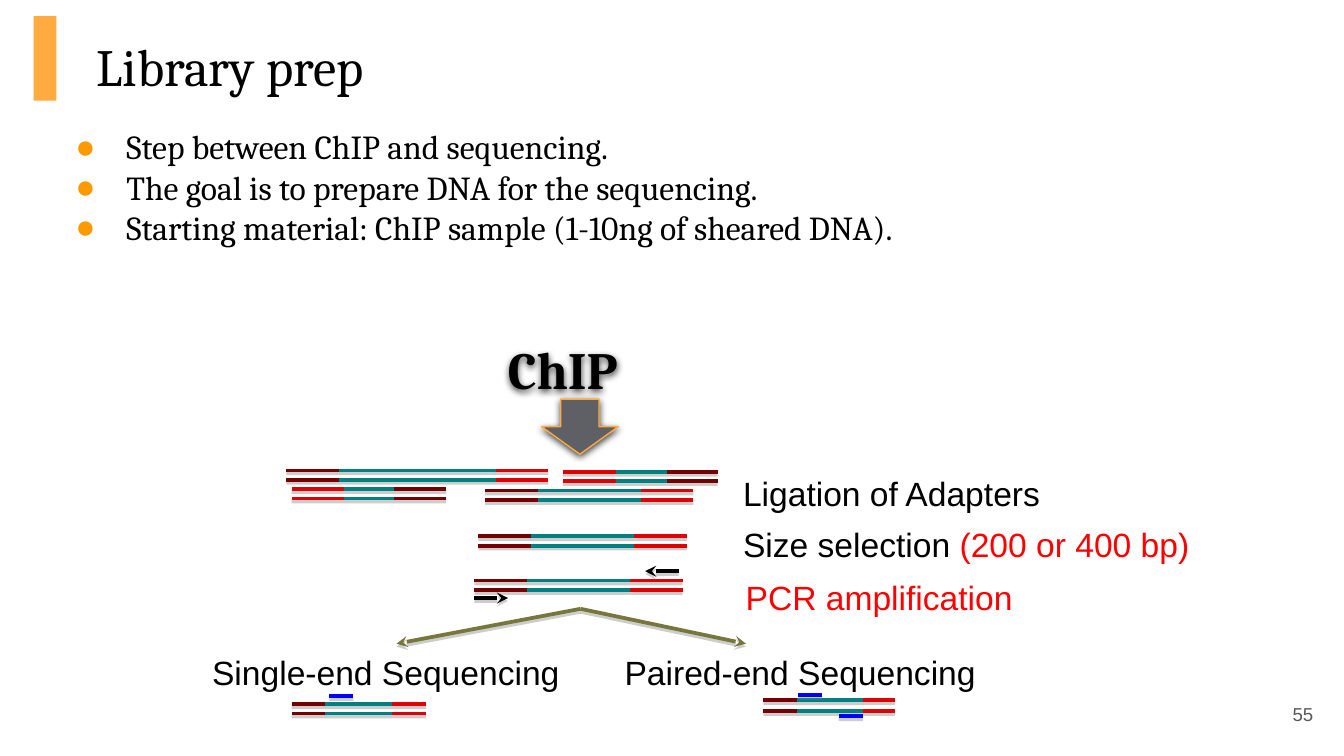
"""Build the library prep slide with its sequencing diagram."""
from pptx import Presentation
from pptx.dml.color import RGBColor
from pptx.enum.shapes import MSO_CONNECTOR, MSO_SHAPE
from pptx.enum.text import MSO_ANCHOR, MSO_AUTO_SIZE, PP_ALIGN
from pptx.oxml import parse_xml
from pptx.oxml.ns import nsdecls, qn
from pptx.util import Inches, Pt

BLACK = RGBColor(0x00, 0x00, 0x00)
GREY = RGBColor(0x59, 0x59, 0x59)
SLATE = RGBColor(0x5F, 0x5F, 0x66)
AMBER = RGBColor(0xFF, 0xAB, 0x40)
SCARLET = RGBColor(0xFF, 0x00, 0x00)
DARK = RGBColor(0x74, 0x00, 0x00)
TEAL = RGBColor(0x00, 0x80, 0x80)
RED = RGBColor(0xDF, 0x02, 0x02)
BLUE = RGBColor(0x00, 0x00, 0xFF)
OLIVE = RGBColor(0x77, 0x77, 0x3C)

SHADOW = (
    f'<a:effectLst {nsdecls("a")}><a:outerShdw blurRad="%d" dist="%d" dir="5400000">'
    '<a:srgbClr val="%s"><a:alpha val="%d"/></a:srgbClr></a:outerShdw></a:effectLst>'
)
SOFT = SHADOW % (0, Pt(1.6), "808080", 38000)
DEEP = SHADOW % (Pt(4), Pt(1.2), "000000", 75000)

deck = Presentation()
deck.slide_width = Inches(10)
deck.slide_height = deck.slide_width * 9 // 16
slide = deck.slides.add_slide(deck.slide_layouts[1])
shapes = slide.shapes
title, body = slide.placeholders


def write(para, text, color=BLACK, size=18, name="Arial", bold=False):
    run = para.add_run()
    run.text = text
    run.font.color.rgb = color
    style = {"size": Pt(size), "name": name, "bold": bold}
    for key, value in style.items():
        setattr(run.font, key, value)
    return run


def draw(x1, y1, x2, y2, color, arrow=False):
    line = shapes.add_connector(
        MSO_CONNECTOR.STRAIGHT, Inches(x1), Inches(y1), Inches(x2), Inches(y2))
    line.line.color.rgb = color
    line.line.width = Pt(2)
    props = line._element.spPr
    if arrow:
        props.find(qn("a:ln")).append(
            parse_xml(f'<a:tailEnd {nsdecls("a")} type="stealth"/>'))
    props.append(parse_xml(SOFT))


for holder, box, anchor, inset in [
    (title, (0.62, 0.15, 9.32, 0.63), MSO_ANCHOR.BOTTOM, 0.05),
    (body, (0.34, 0.84, 9.32, 1.14), MSO_ANCHOR.TOP, 0.1),
]:
    for key, value in zip(("left", "top", "width", "height"), box):
        setattr(holder, key, Inches(value))
    frame = holder.text_frame
    form = {
        "vertical_anchor": anchor, "word_wrap": True, "auto_size": MSO_AUTO_SIZE.NONE,
        "margin_left": Inches(0.1), "margin_right": Inches(0.1),
        "margin_top": Inches(inset), "margin_bottom": Inches(inset),
    }
    for key, value in form.items():
        setattr(frame, key, value)

head = title.text_frame.paragraphs[0]
head.alignment = PP_ALIGN.LEFT
head.line_spacing = 0.9
write(head, "Library prep", size=28, name="Cambria")

points = [
    "Step between ChIP and sequencing.",
    "The goal is to prepare DNA for the sequencing.",
    "Starting material: ChIP sample (1-10ng of sheared DNA).",
]
for i, point in enumerate(points):
    frame = body.text_frame
    para = frame.add_paragraph() if i else frame.paragraphs[0]
    para.space_before = Pt(0)
    props = para._p.get_or_add_pPr()
    props.set("marL", str(Inches(0.5)))
    props.set("indent", str(Inches(-0.38)))
    for mark in ('<a:buClr %s><a:srgbClr val="FF9900"/></a:buClr>',
                 '<a:buChar %s char="●"/>'):
        props.append(parse_xml(mark % nsdecls("a")))
    write(para, point, name="Cambria")

bar = shapes.add_shape(
    MSO_SHAPE.RECTANGLE, Inches(0.25), Inches(0.12), Inches(0.17), Inches(0.63))
bar.shadow.inherit = False
bar.fill.solid()
bar.fill.fore_color.rgb = AMBER
bar.line.fill.background()

FORE, BACK = (DARK, TEAL, RED), (RED, TEAL, DARK)
strands = [
    (3.65, 0.07, (3.61, 4, 4.77, 5.16), FORE),
    (3.64, 0.07, (2.17, 2.56, 2.93, 3.32), BACK),
    (3.99, 0.07, (3.56, 3.95, 4.72, 5.11), FORE),
    (4.32, 0.07, (3.53, 3.92, 4.69, 5.08), FORE),
    (5.24, 0.07, (2.17, 2.42, 2.92, 3.17), FORE),
    (5.21, 0.08, (5.68, 5.93, 6.42, 6.66), FORE),
    (3.5, 0.07, (2.13, 2.52, 3.69, 4.08), FORE),
    (3.51, 0.07, (4.19, 4.58, 4.96, 5.34), BACK),
]
for top, gap, cuts, colors in strands:
    for y in (top, top + gap):
        for start, end, color in zip(cuts, cuts[1:], colors):
            draw(start, y, end, y, color)

for x, y in [(2.45, 5.18), (5.94, 5.17), (6.24, 5.33)]:
    draw(x, y, x + 0.18, y, BLUE)
draw(5.05, 4.25, 4.8, 4.25, BLACK, True)
draw(3.53, 4.45, 3.78, 4.45, BLACK, True)
for x in (2.95, 5.55):
    draw(4.32, 4.53, x, 4.79, OLIVE, True)

labels = [
    (5.43, 3.47, 3.58, 0.3, [("Ligation of Adapters", BLACK)]),
    (5.43, 3.85, 3.65, 0.3, [("Size selection ", BLACK), ("(200 or 400 bp)", SCARLET)]),
    (5.45, 4.24, 2.33, 0.3, [("PCR amplification", SCARLET)]),
    (1.48, 4.8, 6.2, 0.3, [("Single-end Sequencing\t Paired-end Sequencing", BLACK)]),
    (3.68, 2.46, 1.28, 0.43, [("ChIP", BLACK, 28, "Cambria", True)]),
    (9.27, 5.1, 0.6, 0.43, [("55", GREY, 10)]),
]
for *box, parts in labels:
    label = shapes.add_textbox(*map(Inches, box))
    frame = label.text_frame
    frame.word_wrap = True
    for part in parts:
        run = write(frame.paragraphs[0], *part)
    if run.text == "ChIP":
        label._element.spPr.append(parse_xml(DEEP))
frame.vertical_anchor = MSO_ANCHOR.MIDDLE
frame.paragraphs[0].alignment = PP_ALIGN.RIGHT

arrow = shapes.add_shape(
    MSO_SHAPE.DOWN_ARROW, Inches(4.03), Inches(2.97), Inches(0.57), Inches(0.41))
arrow.fill.solid()
arrow.fill.fore_color.rgb = SLATE
arrow.line.color.rgb = AMBER
arrow.line.width = Pt(0.75)
arrow._element.spPr.append(parse_xml(DEEP))

deck.save("out.pptx")
